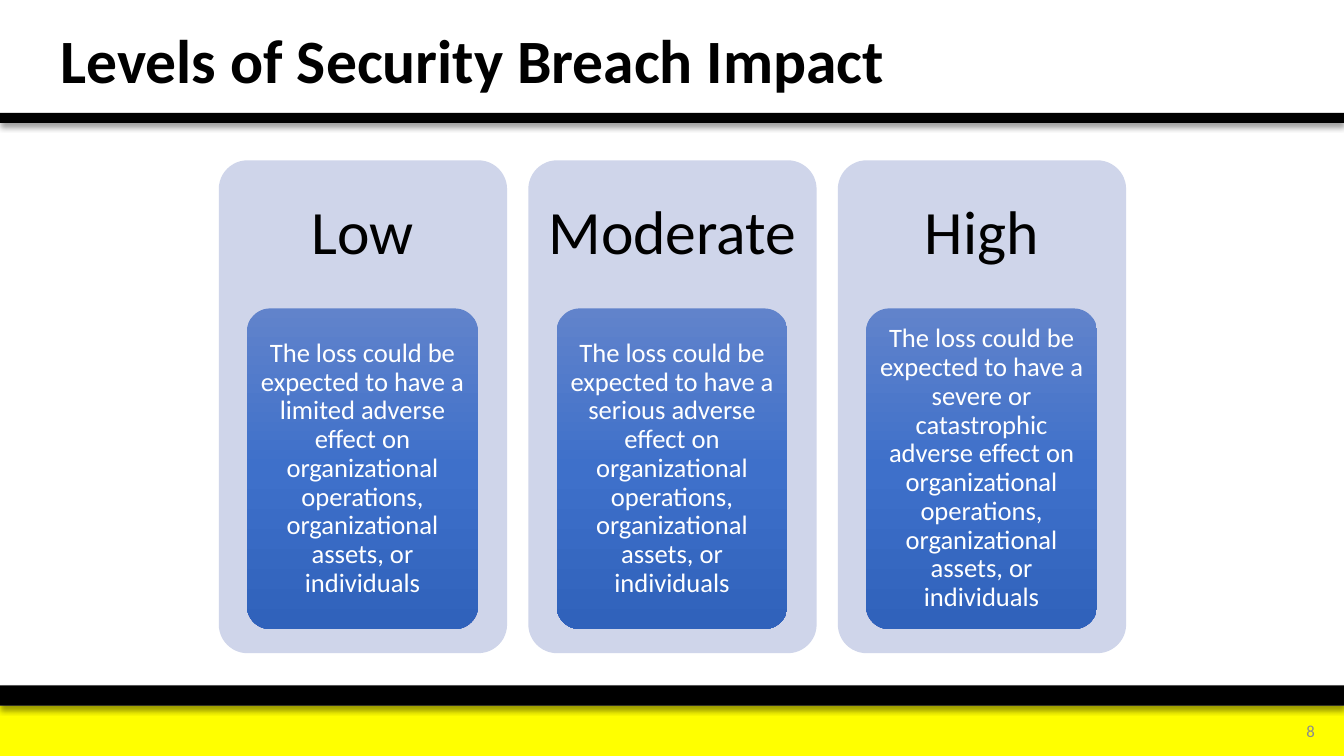
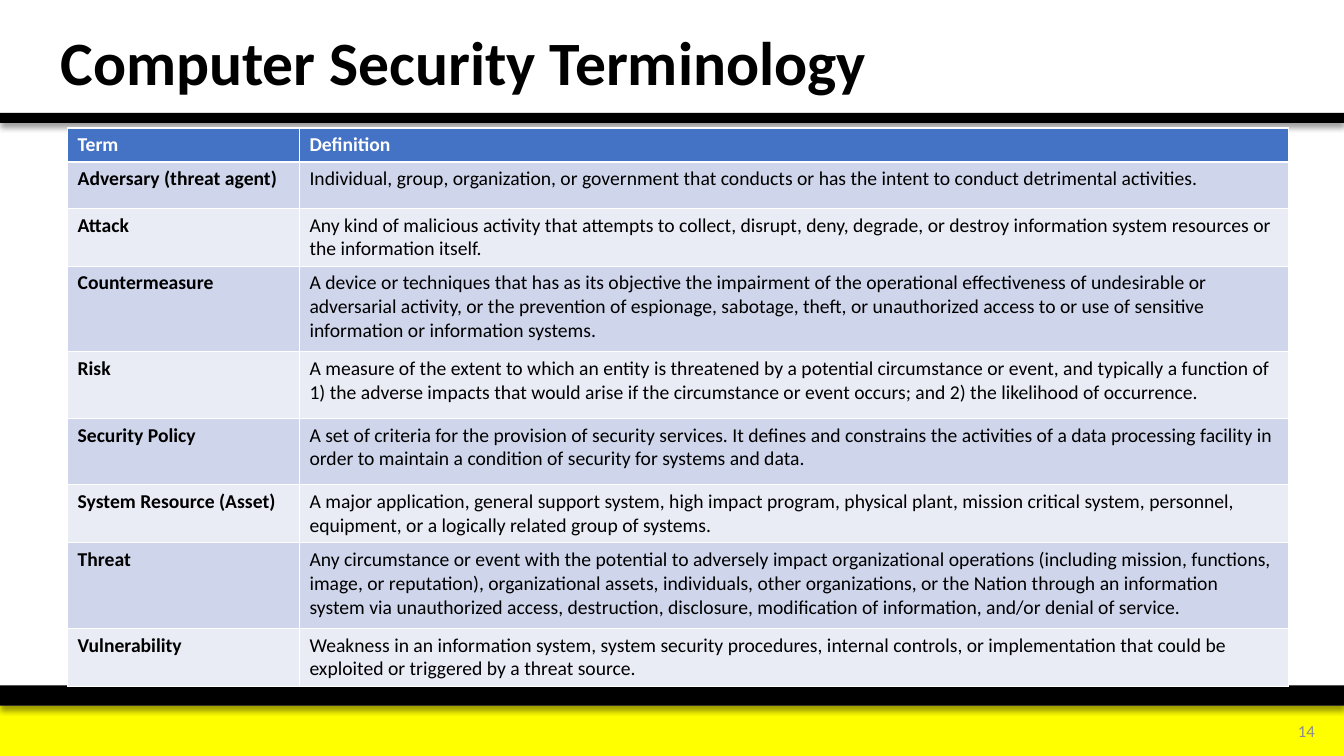
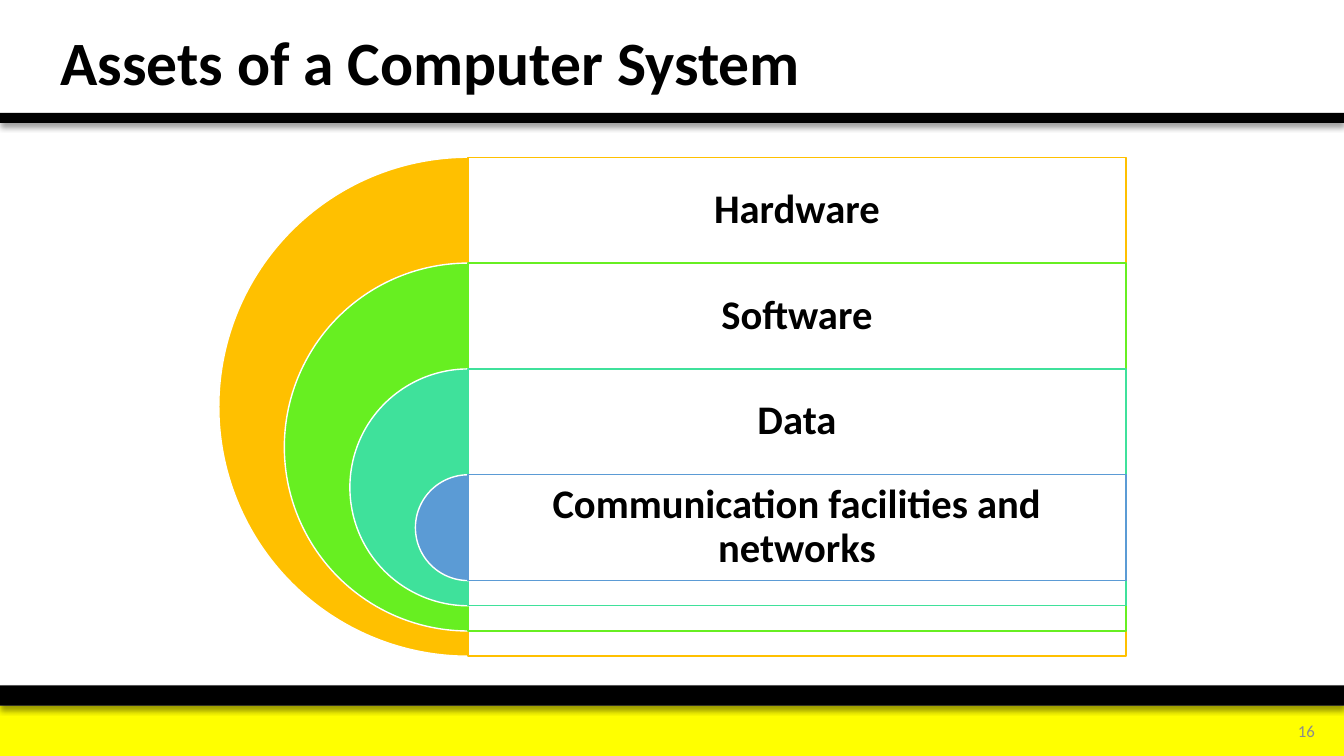
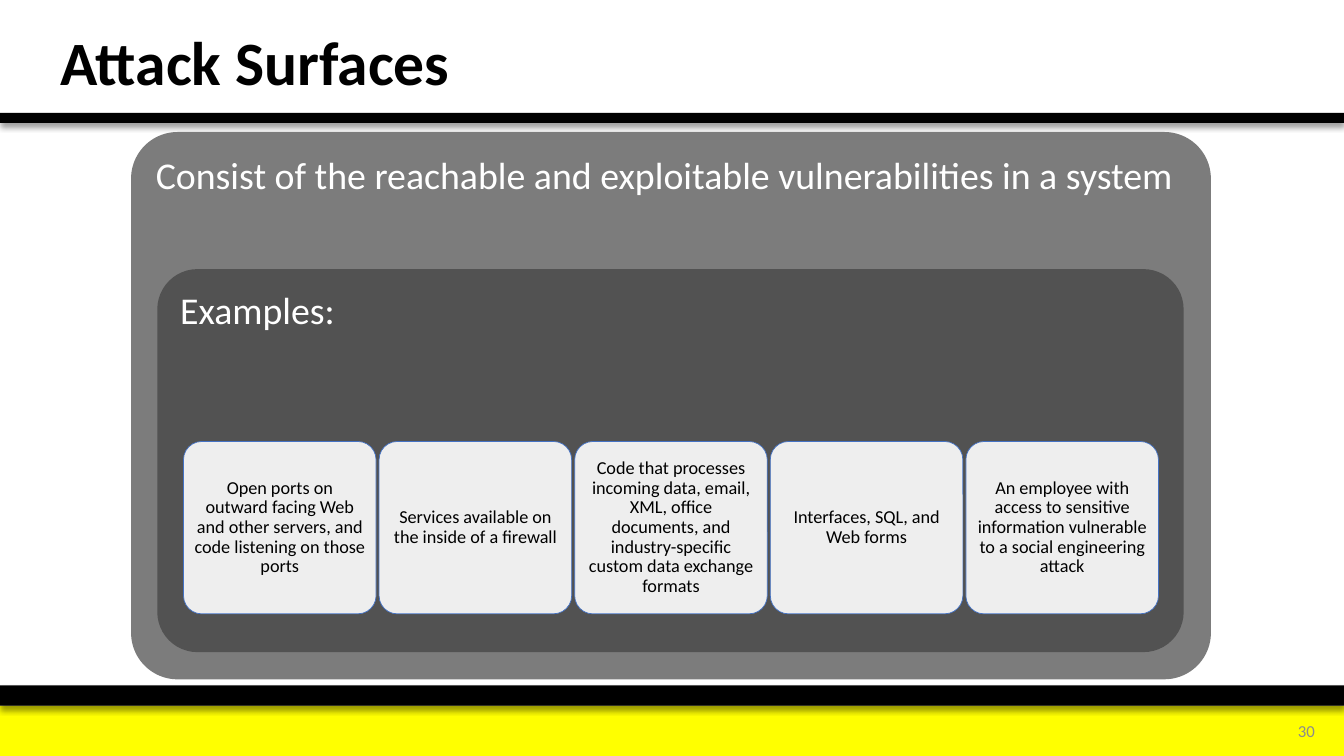
import copy
import dataclasses

import lxml.etree
import pptx
import pptx.dml.color
import pptx.enum.shapes
import pptx.enum.text
import pptx.oxml.ns
import pptx.util

Inches = pptx.util.Inches
Pt = pptx.util.Pt
qn = pptx.oxml.ns.qn
rgb = pptx.dml.color.RGBColor.from_string
Shape = pptx.enum.shapes.MSO_SHAPE
Align = pptx.enum.text.PP_ALIGN
Anchor = pptx.enum.text.MSO_ANCHOR


@dataclasses.dataclass(frozen=True)
class Theme:
    font: str = "Calibri"
    black: str = "000000"
    white: str = "FFFFFF"
    yellow: str = "FFFF00"
    number_gray: str = "8C8C8C"
    blue: str = "4472C4"
    pale_blue: str = "CFD5EA"
    paler_blue: str = "E9EBF5"
    outer_gray: str = "7C7C7C"
    inner_gray: str = "525252"
    card_gradient: tuple = ((0, "6183CB"), (0.5, "3E70CA"), (1, "3062BB"))
    rings: tuple = ("FFC000", "67EF21", "3FE19B", "5B9BD5")
    title_size: int = 44
    asset_size: int = 29
    surface_size: int = 27
    impact_size: int = 19
    table_size: int = 14
    example_size: int = 13
    number_size: int = 12


theme = Theme()


def add_box(slide, geometry, box, fill, line=None, line_width=1, opacity=100, adjustments=()):
    """Add a flat shape; box is left, top, width, height in inches."""
    shape = slide.shapes.add_shape(geometry, *map(Inches, box))
    shape.shadow.inherit = False
    for index, value in enumerate(adjustments):
        shape.adjustments[index] = value
    shape.fill.solid()
    shape.fill.fore_color.rgb = rgb(fill)
    if opacity < 100:
        color = shape.element.spPr.find(qn("a:solidFill"))[0]
        lxml.etree.SubElement(color, qn("a:alpha"), val=str(opacity * 1000))
    if line:
        shape.line.color.rgb = rgb(line)
        shape.line.width = Pt(line_width)
    else:
        shape.line.fill.background()
    return shape


def write_text(shape, text, size, color, bold=False, alignment=Align.CENTER,
               anchor=Anchor.MIDDLE, insets=(0.1, 0.05, 0.1, 0.05)):
    """Fill a shape with one paragraph; insets are left, top, right, bottom in inches."""
    frame = shape.text_frame
    frame.word_wrap = True
    frame.auto_size = pptx.enum.text.MSO_AUTO_SIZE.NONE
    frame.vertical_anchor = anchor
    frame.margin_left, frame.margin_top, frame.margin_right, frame.margin_bottom = map(Inches, insets)
    frame.text = text
    paragraph = frame.paragraphs[0]
    paragraph.alignment = alignment
    paragraph.line_spacing = 0.9
    paragraph.font.name = theme.font
    paragraph.font.size = Pt(size)
    paragraph.font.bold = bold
    paragraph.font.color.rgb = rgb(color)


presentation = pptx.Presentation()
presentation.slide_width = Inches(13.33)
presentation.slide_height = Inches(7.5)
layout = presentation.slide_layouts.get_by_name("Title Only")

# Titles and slide numbers
slides = []
for title, number, title_top in (
    ("Levels of Security Breach Impact", 8, 0.07),
    ("Computer Security Terminology", 14, 0.09),
    ("Assets of a Computer System", 16, 0.09),
    ("Attack Surfaces", 30, 0.09),
):
    slide = presentation.slides.add_slide(layout)
    heading = slide.shapes.title
    heading.left, heading.top, heading.width, heading.height = map(Inches, (0.5, title_top, 9.68, 1.12))
    write_text(heading, title, theme.title_size, theme.black, bold=True, alignment=Align.LEFT)
    number_box = slide.shapes.add_textbox(*map(Inches, (12.38, 7.06, 0.76, 0.4)))
    write_text(number_box, str(number), theme.number_size, theme.number_gray, alignment=Align.RIGHT)
    slides.append(slide)
impact_slide, terms_slide, assets_slide, surfaces_slide = slides

# Bands, moved to the layout so that every slide shows them
bands = ((7, 0.5, theme.yellow, False), (6.8, 0.2, theme.black, True), (1.12, 0.1, theme.black, True))
for index, (top, height, color, has_shadow) in enumerate(bands):
    band = add_box(impact_slide, Shape.RECTANGLE, (0, top, 13.33, height), color)
    if has_shadow:
        effects = band.element.spPr.find(qn("a:effectLst"))
        shadow = lxml.etree.SubElement(effects, qn("a:outerShdw"), blurRad=str(Pt(4)), dist=str(Pt(3)),
                                       dir="5400000", algn="t", rotWithShape="0")
        shadow_color = lxml.etree.SubElement(shadow, qn("a:srgbClr"), val=theme.black)
        lxml.etree.SubElement(shadow_color, qn("a:alpha"), val="40000")
    band.element.nvSpPr.cNvPr.set("id", str(20 + index))
    layout.shapes.element.append(band.element)

# Levels of Security Breach Impact
for index, (level, effect) in enumerate((
    ("Low", "limited"),
    ("Moderate", "serious"),
    ("High", "severe or catastrophic"),
)):
    left = 2.17 + 3.07 * index
    panel = add_box(impact_slide, Shape.ROUNDED_RECTANGLE, (left, 1.59, 2.86, 4.89), theme.pale_blue,
                    adjustments=(0.1,))
    write_text(panel, level, theme.title_size, theme.black, insets=(0.1, 0.1, 0.1, 3.52))
    card = add_box(impact_slide, Shape.ROUNDED_RECTANGLE, (left + 0.28, 3.06, 2.29, 3.18), theme.blue,
                   adjustments=(0.1,))
    card.fill.gradient()
    card.fill.gradient_angle = 270
    stop_list = card.element.spPr.find(qn("a:gradFill")).find(qn("a:gsLst"))
    stop_list.insert(1, copy.deepcopy(stop_list[0]))
    for stop, (position, color) in zip(card.fill.gradient_stops, theme.card_gradient):
        stop.position = position
        stop.color.rgb = rgb(color)
    write_text(card, f"The loss could be expected to have a {effect} adverse effect on organizational "
               "operations, organizational assets, or individuals",
               theme.impact_size, theme.white, insets=(0.05, 0.04, 0.05, 0.04))

# Computer Security Terminology
terms = (
    (0.33, "Term", "Definition"),
    (0.46, "Adversary (threat agent)",
     "Individual, group, organization, or government that conducts or has the intent to conduct "
     "detrimental activities."),
    (0.56, "Attack",
     "Any kind of malicious activity that attempts to collect, disrupt, deny, degrade, or destroy "
     "information system resources or the information itself."),
    (0.85, "Countermeasure",
     "A device or techniques that has as its objective the impairment of the operational effectiveness "
     "of undesirable or adversarial activity, or the prevention of espionage, sabotage, theft, or "
     "unauthorized access to or use of sensitive information or information systems."),
    (0.66, "Risk",
     "A measure of the extent to which an entity is threatened by a potential circumstance or event, "
     "and typically a function of 1) the adverse impacts that would arise if the circumstance or event "
     "occurs; and 2) the likelihood of occurrence."),
    (0.66, "Security Policy",
     "A set of criteria for the provision of security services. It defines and constrains the "
     "activities of a data processing facility in order to maintain a condition of security for "
     "systems and data."),
    (0.56, "System Resource (Asset)",
     "A major application, general support system, high impact program, physical plant, mission "
     "critical system, personnel, equipment, or a logically related group of systems."),
    (0.85, "Threat",
     "Any circumstance or event with the potential to adversely impact organizational operations "
     "(including mission, functions, image, or reputation), organizational assets, individuals, other "
     "organizations, or the Nation through an information system via unauthorized access, destruction, "
     "disclosure, modification of information, and/or denial of service."),
    (0.56, "Vulnerability",
     "Weakness in an information system, system security procedures, internal controls, or "
     "implementation that could be exploited or triggered by a threat source."),
)
table = terms_slide.shapes.add_table(len(terms), 2, *map(Inches, (0.67, 1.27, 12.1, 5.52))).table
table.columns[0].width = Inches(2.3)
table.columns[1].width = Inches(9.81)
for row_index, (height, *texts) in enumerate(terms):
    is_header = row_index == 0
    table.rows[row_index].height = Inches(height)
    for column_index, text in enumerate(texts):
        cell = table.cell(row_index, column_index)
        cell.text = text
        cell.fill.solid()
        band_color = theme.pale_blue if row_index % 2 else theme.paler_blue
        cell.fill.fore_color.rgb = rgb(theme.blue if is_header else band_color)
        font = cell.text_frame.paragraphs[0].font
        font.name = theme.font
        font.size = Pt(theme.table_size)
        font.bold = is_header or column_index == 0
        font.color.rgb = rgb(theme.white if is_header else theme.black)

# Assets of a Computer System
assets = ("Hardware", "Software", "Data", "Communication facilities and networks")
row_height = 1.05
for index, (asset, color) in enumerate(zip(assets, theme.rings)):
    top = 1.56 + row_height * index
    diameter = 4.95 - 1.3 * index
    add_box(assets_slide, Shape.PIE, (2.17 + 0.65 * index, top, diameter, diameter), color,
            line=theme.white, adjustments=(54, 162))
    asset_box = add_box(assets_slide, Shape.RECTANGLE, (4.64, top, 6.53, diameter), theme.white,
                        line=color, opacity=90)
    write_text(asset_box, asset, theme.asset_size, theme.black, bold=True,
               insets=(0.12, 0.12, 0.12, diameter - row_height + 0.12))

# Attack Surfaces
for box, color, corner, text in (
    ((1.3, 1.31, 10.71, 5.43), theme.outer_gray, 0.085,
     "Consist of the reachable and exploitable vulnerabilities in a system"),
    ((1.56, 2.67, 10.18, 3.8), theme.inner_gray, 0.105, "Examples:"),
):
    surface = add_box(surfaces_slide, Shape.ROUNDED_RECTANGLE, box, color, adjustments=(corner,))
    write_text(surface, text, theme.surface_size, theme.white, alignment=Align.LEFT,
               anchor=Anchor.TOP, insets=(0.11,) * 4)

for index, example in enumerate((
    "Open ports on outward facing Web and other servers, and code listening on those ports",
    "Services available on the inside of a firewall",
    "Code that processes incoming data, email, XML, office documents, and industry-specific custom "
    "data exchange formats",
    "Interfaces, SQL, and Web forms",
    "An employee with access to sensitive information vulnerable to a social engineering attack",
)):
    example_card = add_box(surfaces_slide, Shape.ROUNDED_RECTANGLE, (1.82 + 1.94 * index, 4.38, 1.91, 1.71),
                           theme.white, line=theme.blue, line_width=0.5, opacity=90, adjustments=(0.105,))
    write_text(example_card, example, theme.example_size, theme.black, insets=(0.05,) * 4)

presentation.save("out.pptx")
